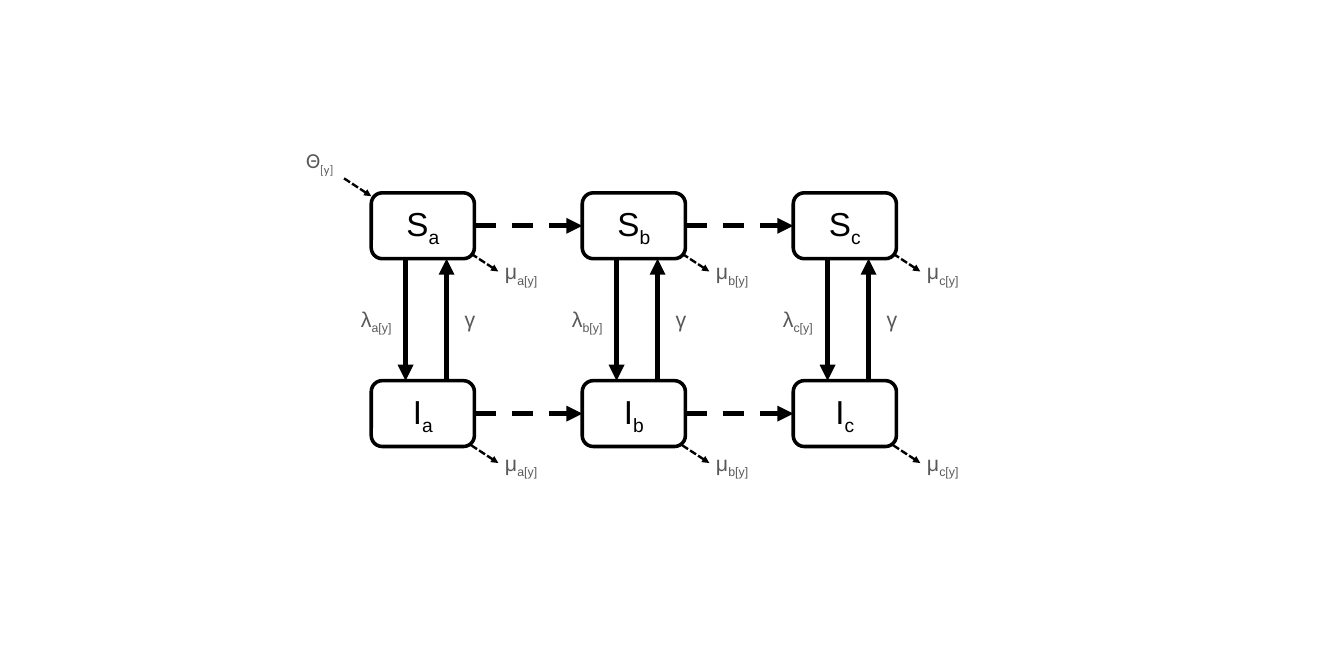
"""Draw an age-structured S-I model with three linked classes."""
from dataclasses import dataclass
from typing import Any, NamedTuple, Optional

from lxml.etree import SubElement as Sub
from pptx import Presentation
from pptx.dml.color import RGBColor as Rgb
from pptx.enum.dml import MSO_LINE_DASH_STYLE as Dash
from pptx.enum.shapes import MSO_CONNECTOR_TYPE as Link, MSO_SHAPE as Form
from pptx.enum.text import MSO_ANCHOR as Anchor, MSO_AUTO_SIZE as Fit, PP_ALIGN as Align
from pptx.oxml.ns import qn
from pptx.util import Cm, Pt


@dataclass(frozen=True)
class Theme:
    ink: Rgb = Rgb(0, 0, 0)
    gray: Rgb = Rgb(0x59, 0x59, 0x59)
    face: str = "Arial"
    inflow: str = "Calibri"
    big: Pt = Pt(28)
    small: Pt = Pt(18)
    edge: Pt = Pt(3)
    bold: Pt = Pt(4.5)
    thin: Pt = Pt(2)


class State(NamedTuple):
    name: str
    top: float
    drop: float


class Arrow(NamedTuple):
    x: float
    y: float
    dx: float
    dy: float
    width: Pt
    dash: Optional[Dash] = None


class Label(NamedTuple):
    x: float
    y: float
    width: float
    sign: str
    sub: str = ""
    face: str = Theme.face


THEME = Theme()
WIDE, HIGH = 3.07, 1.96
LEFT, STEP = 11.05, 6.28
SLANT = (0.81, 0.53)
STATES = (State("S", 5.74, 1.81), State("I", 11.33, 1.92))
AGES = "abc"

deck = Presentation()
deck.slide_width, deck.slide_height = Cm(40), Cm(20)
slide = deck.slides.add_slide(deck.slide_layouts[6])


def apply(target: Any, style: dict[str, Any]) -> None:
    for key, value in style.items():
        setattr(target, key, value)


def write(frame: Any, sign: str, sub: str, size: Pt, color: Rgb, face: str) -> None:
    para = frame.paragraphs[0]
    for text in filter(None, (sign, sub)):
        run = para.add_run()
        run.text = text
        apply(run.font, {"size": size, "name": face})
        run.font.color.rgb = color
    if sub:
        run._r.get_or_add_rPr().set("baseline", "-25000")


def draw_box(x: float, y: float, sign: str, sub: str) -> None:
    box = slide.shapes.add_shape(Form.ROUNDED_RECTANGLE, Cm(x), Cm(y), Cm(WIDE), Cm(HIGH))
    box.shadow.inherit = False
    box.fill.background()
    box.line.color.rgb = THEME.ink
    box.line.width = THEME.edge
    frame = box.text_frame
    frame.vertical_anchor = Anchor.MIDDLE
    frame.paragraphs[0].alignment = Align.CENTER
    write(frame, sign, sub, THEME.big, THEME.ink, THEME.face)


def draw_arrow(item: Arrow) -> None:
    ends = (item.x, item.y, item.x + item.dx, item.y + item.dy)
    link = slide.shapes.add_connector(Link.STRAIGHT, *map(Cm, ends))
    link.line.color.rgb = THEME.ink
    apply(link.line, {"width": item.width, "dash_style": item.dash})
    props = link._element.spPr
    Sub(props.find(qn("a:ln")), qn("a:tailEnd"), type="triangle")
    Sub(props, qn("a:effectLst"))


def draw_label(item: Label) -> None:
    box = slide.shapes.add_textbox(*map(Cm, (item.x, item.y, item.width, 1.12)))
    apply(box.text_frame, {"word_wrap": False, "auto_size": Fit.SHAPE_TO_FIT_TEXT})
    write(box.text_frame, item.sign, item.sub, THEME.small, THEME.gray, item.face)


def draw_age(x: float, age: str, last: bool) -> None:
    index = f"{age}[y]"
    for state in STATES:
        draw_box(x, state.top, state.name, age)
        exit_y = state.top + state.drop
        draw_arrow(Arrow(x + 2.97, exit_y, *SLANT, THEME.thin, Dash.SQUARE_DOT))
        draw_label(Label(x + 3.73, exit_y + 0.02, 1.7, "μ", index))
        if not last:
            mid = state.top + HIGH / 2
            draw_arrow(Arrow(x + WIDE, mid, STEP - WIDE, 0, THEME.bold, Dash.DASH))
    upper, lower = STATES[0].top + HIGH, STATES[1].top
    gap = lower - upper
    draw_arrow(Arrow(x + 1.02, upper, 0, gap, THEME.bold))
    draw_arrow(Arrow(x + 2.24, lower, 0, -gap, THEME.bold))
    draw_label(Label(x - 0.56, 8.98, 1.65, "λ", index))
    draw_label(Label(x + 2.53, 8.98, 0.89, "γ"))


for place, age in enumerate(AGES):
    draw_age(LEFT + place * STEP, age, age == AGES[-1])
draw_arrow(Arrow(10.24, 5.31, *SLANT, THEME.thin, Dash.SQUARE_DOT))
draw_label(Label(8.86, 4.27, 1.5, "Θ", "[y]", THEME.inflow))

deck.save("out.pptx")
